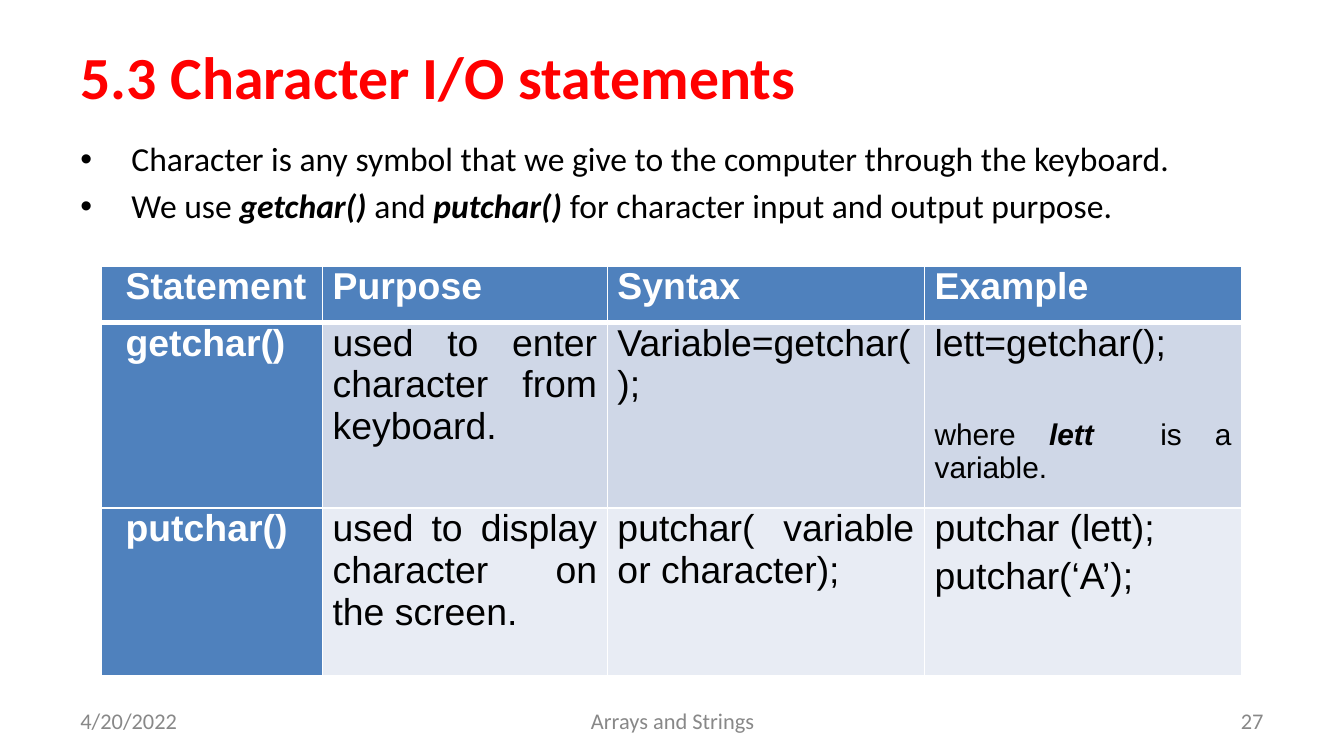
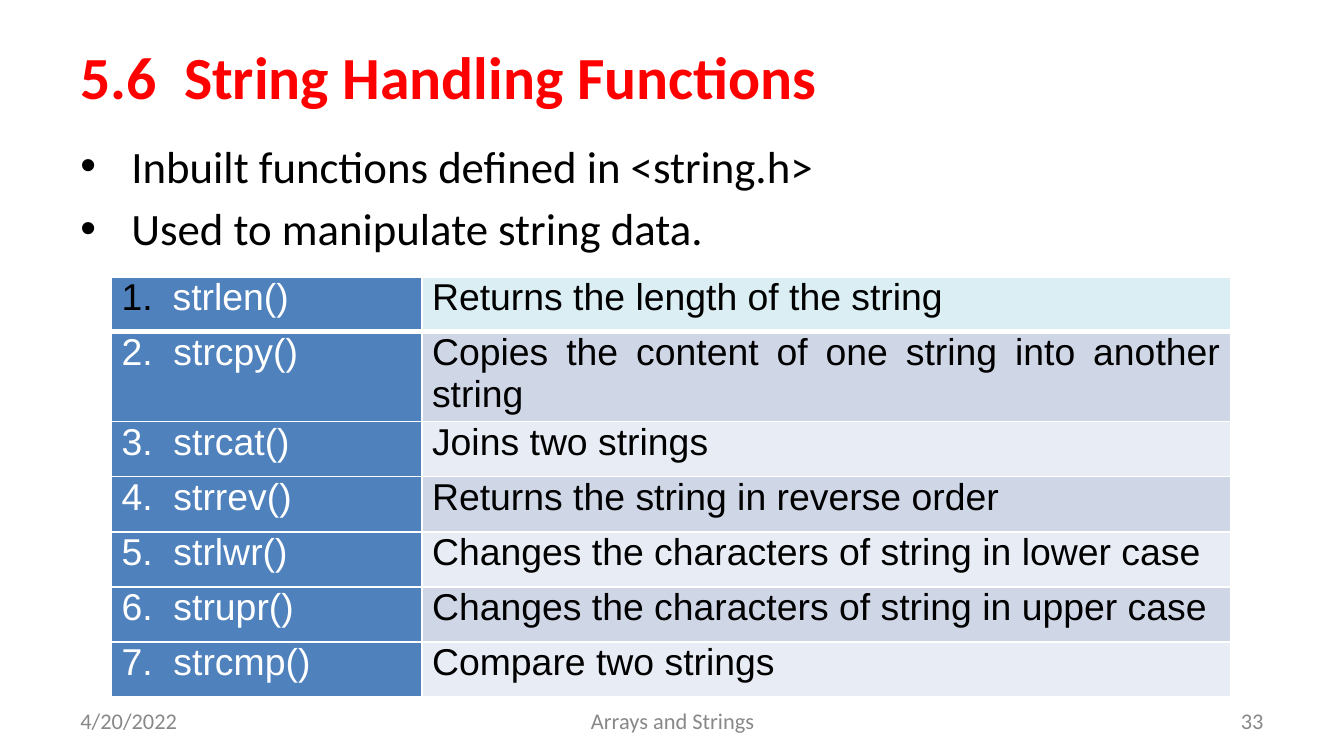
from pptx import Presentation
from pptx.dml.color import RGBColor
from pptx.enum.text import MSO_ANCHOR, MSO_AUTO_SIZE, PP_ALIGN
from pptx.oxml import parse_xml
from pptx.oxml.ns import nsdecls
from pptx.util import Inches, Pt

RED = RGBColor(0xFF, 0x00, 0x00)
BLACK = RGBColor(0x00, 0x00, 0x00)
WHITE = RGBColor(0xFF, 0xFF, 0xFF)
GREY = RGBColor(0x88, 0x88, 0x88)
BLUE = RGBColor(0x4F, 0x81, 0xBD)
DARK_BAND = RGBColor(0xCF, 0xD7, 0xE7)
LIGHT_BAND = RGBColor(0xE8, 0xEC, 0xF4)
PALE_CYAN = RGBColor(0xDA, 0xEE, 0xF3)

DATE = "4/20/2022"
COURSE = "Arrays and Strings"
HANGING = 0.38
TABLE_FRAME = 3.28

CHARACTER_SLIDE = {
    "title": "5.3 Character I/O statements",
    "number": 27,
    "bullet_size": 18,
    "bullets": [
        "Character is any symbol that we give to the computer through the keyboard.",
        "We use *getchar()* and *putchar()* for character input and output purpose.",
    ],
}
STATEMENTS = [
    ["Statement", "Purpose", "Syntax", "Example"],
    ["getchar()", "used to enter character from keyboard.", "Variable=getchar();",
     [("lett=getchar();", 20, 0), ("where *lett*  is a variable.", 16, 29)]],
    ["putchar()", "used to display character on the screen.",
     "putchar( variable or character);",
     [("putchar (lett);", 20, 0), ("putchar(‘A’);", 20, 3)]],
]

STRING_SLIDE = {
    "title": "5.6  String Handling Functions",
    "number": 33,
    "bullet_size": 24,
    "bullets": [
        "Inbuilt functions defined in <string.h>",
        "Used to manipulate string data.",
    ],
}
FUNCTIONS = [
    ("strlen()", "Returns the length of the string"),
    ("strcpy()", "Copies the content of one string into another string"),
    ("strcat()", "Joins two strings"),
    ("strrev()", "Returns the string in reverse order"),
    ("strlwr()", "Changes the characters of string in lower case"),
    ("strupr()", "Changes the characters of string in upper case"),
    ("strcmp()", "Compare two strings"),
]


def style(paragraph, font, size, color, bold=False, align=PP_ALIGN.LEFT):
    """Set the font and alignment of a whole paragraph."""
    paragraph.font.name = font
    paragraph.font.size = Pt(size)
    paragraph.font.color.rgb = color
    paragraph.font.bold = bold
    paragraph.alignment = align


def write(paragraph, text):
    """Add runs, making the parts between asterisks bold italic."""
    for index, part in enumerate(text.split("*")):
        run = paragraph.add_run()
        run.text = part
        if index % 2:
            run.font.bold = run.font.italic = True


def indent(paragraph, left, first=0.0, marker=None):
    """Set the indents and an optional black list marker."""
    properties = paragraph._p.get_or_add_pPr()
    properties.set("marL", str(Inches(left)))
    properties.set("indent", str(Inches(first)))
    if marker:
        color = f'<a:buClr {{}}><a:srgbClr val="{BLACK}"/></a:buClr>'
        for element in (color, '<a:buFont {} typeface="Arial"/>', marker):
            properties.append(parse_xml(element.format(nsdecls("a"))))


def add_text_box(slide, left, top, width, height, anchor):
    """Add an empty wrapping text box and return its frame."""
    box = slide.shapes.add_textbox(Inches(left), Inches(top), Inches(width), Inches(height))
    box.text_frame.word_wrap = True
    box.text_frame.vertical_anchor = anchor
    return box.text_frame


def add_slide(presentation, content):
    """Add a slide with its title, bullets and footer."""
    slide = presentation.slides.add_slide(presentation.slide_layouts[5])
    title = slide.shapes.title
    title.left, title.top = Inches(0.5), Inches(0.23)
    title.width, title.height = Inches(9), Inches(0.67)
    title.text_frame.text = content["title"]
    title.text_frame.auto_size = MSO_AUTO_SIZE.NONE
    title.text_frame.vertical_anchor = MSO_ANCHOR.MIDDLE
    style(title.text_frame.paragraphs[0], "Calibri", 32, RED, bold=True)

    frame = add_text_box(slide, 0.5, 0.98, 9, 4.05, MSO_ANCHOR.TOP)
    size = content["bullet_size"]
    for index, text in enumerate(content["bullets"]):
        paragraph = frame.add_paragraph() if index else frame.paragraphs[0]
        write(paragraph, text)
        style(paragraph, "Calibri", size, BLACK)
        paragraph.space_before = Pt(size * 0.2 if index else 0)
        indent(paragraph, HANGING, -HANGING, '<a:buChar {} char="•"/>')

    footers = [
        (DATE, 0.5, 2.33, PP_ALIGN.LEFT),
        (str(content["number"]), 7.17, 2.33, PP_ALIGN.RIGHT),
        (COURSE, 3.42, 3.17, PP_ALIGN.CENTER),
    ]
    for text, left, width, align in footers:
        paragraph = add_text_box(slide, left, 5.21, width, 0.3, MSO_ANCHOR.MIDDLE).paragraphs[0]
        paragraph.text = text
        style(paragraph, "Calibri", 12, GREY, align=align)
    return slide


def add_header_borders(cell):
    """Draw white cell borders, thicker beneath."""
    properties = cell._tc.get_or_add_tcPr()
    for index, side in enumerate("LRTB"):
        width = Pt(3 if side == "B" else 1)
        properties.insert(index, parse_xml(
            f'<a:ln{side} {nsdecls("a")} w="{width}"><a:solidFill>'
            f'<a:srgbClr val="{WHITE}"/></a:solidFill></a:ln{side}>'))


def fill_cell(cell, content, fill, color, bold):
    """Write justified paragraphs into a filled cell."""
    cell.margin_left = cell.margin_right = Pt(5.4)
    cell.margin_top = cell.margin_bottom = 0
    cell.fill.solid()
    cell.fill.fore_color.rgb = fill
    lines = [(content, 20, 0)] if isinstance(content, str) else content
    for index, (text, size, gap) in enumerate(lines):
        frame = cell.text_frame
        paragraph = frame.add_paragraph() if index else frame.paragraphs[0]
        write(paragraph, text)
        style(paragraph, "Arial", size, color, bold, PP_ALIGN.JUSTIFY)
        paragraph.space_before = Pt(gap)


def add_table(slide, left, top, widths, heights, rows, header_fill, bold):
    """Add a table with a blue first column and banded rows."""
    frame = slide.shapes.add_table(
        len(rows), len(widths), Inches(left), Inches(top),
        Inches(TABLE_FRAME), Inches(TABLE_FRAME))
    table = frame.table
    for column, width in zip(table.columns, widths):
        column.width = Inches(width)
    for row_index, (row, height) in enumerate(zip(rows, heights)):
        table.rows[row_index].height = Inches(height)
        band = (DARK_BAND if row_index % 2 else LIGHT_BAND) if row_index else header_fill
        for column_index, content in enumerate(row):
            cell = table.cell(row_index, column_index)
            fill = band if column_index else BLUE
            on_blue = fill == BLUE
            fill_cell(cell, content, fill, WHITE if on_blue else BLACK, bold and on_blue)
            if row_index == 0:
                add_header_borders(cell)
    frame.width = frame.height = Inches(TABLE_FRAME)
    return table


def main():
    """Build both slides and save the presentation."""
    presentation = Presentation()
    presentation.slide_width = Inches(10)
    presentation.slide_height = Inches(10) * 9 // 16

    slide = add_slide(presentation, CHARACTER_SLIDE)
    table = add_table(slide, 0.75, 1.98, [1.65, 2.12, 2.36, 2.36], [0.42, 1.38, 1.25],
                      STATEMENTS, BLUE, bold=True)
    for row in table.rows:
        indent(row.cells[0].text_frame.paragraphs[0], 0.11)

    slide = add_slide(presentation, STRING_SLIDE)
    rows = [(f"{number}.  {name}" if number > 1 else name, purpose)
            for number, (name, purpose) in enumerate(FUNCTIONS, 1)]
    table = add_table(slide, 0.83, 2.06, [2.31, 6.02], [0.41, 0.49] + [0.41] * 5,
                      rows, PALE_CYAN, bold=False)
    indent(table.cell(0, 0).text_frame.paragraphs[0], HANGING, -HANGING,
           '<a:buAutoNum {} type="arabicPeriod"/>')

    presentation.save("out.pptx")


if __name__ == "__main__":
    main()
